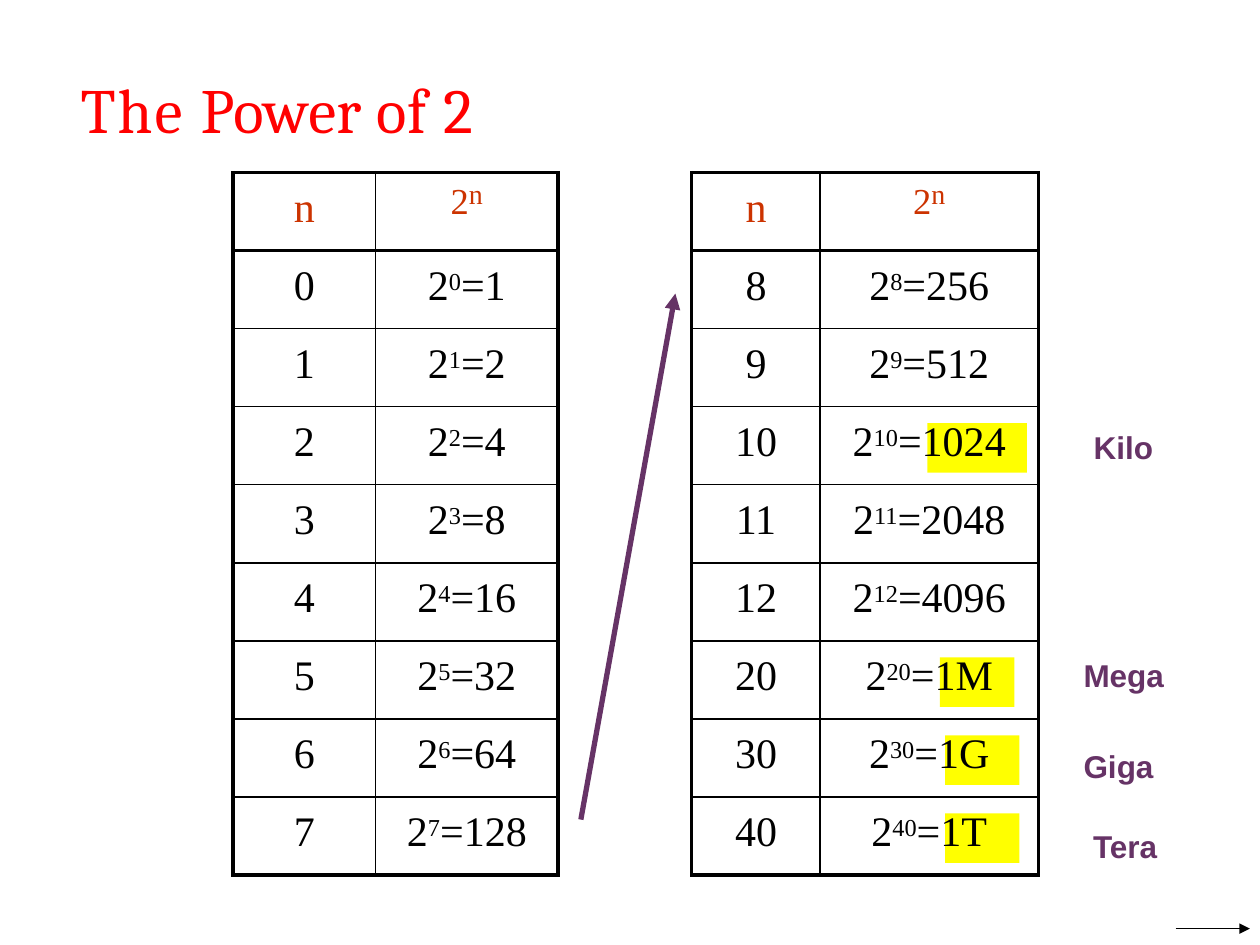
from dataclasses import dataclass

from lxml.etree import SubElement
from pptx import Presentation
from pptx.dml.color import RGBColor as Color
from pptx.enum.shapes import MSO_CONNECTOR as Connector, MSO_SHAPE as Shape
from pptx.enum.text import PP_ALIGN as Align
from pptx.oxml.ns import qn
from pptx.util import Emu, Inches, Pt


@dataclass(frozen=True)
class Theme:
    red: str = "FF0000"
    header: str = "CC3300"
    black: str = "000000"
    purple: str = "663366"
    yellow: str = "FFFF00"
    title_format = {"size": Pt(36), "name": "Cambria"}
    cell_format = {"size": Pt(24), "name": "Times New Roman"}
    label_format = {"size": Pt(18), "name": "Arial", "bold": True}
    header_base = Pt(36)
    header_exponent = Pt(16)
    thin: float = 1
    thick: float = 2.25


THEME = Theme()
WIDTH, HEIGHT = Inches(10), Inches(7.5)

# Vertical grid shared by both tables, in percent of the slide height
TABLE_TOP, ROW_HEIGHT = 18.27, 8.26

LEFT_POWERS = [("0", "1"), ("1", "2"), ("2", "4"), ("3", "8"),
               ("4", "16"), ("5", "32"), ("6", "64"), ("7", "128")]
RIGHT_POWERS = [("8", "256"), ("9", "512"), ("10", "1024"), ("11", "2048"),
                ("12", "4096"), ("20", "1M"), ("30", "1G"), ("40", "1T")]
# Table row, left and width of each highlighted value
HIGHLIGHTS = [(8, 75, 5.9), (7, 75, 5.9), (6, 74.6, 5.9), (3, 73.6, 7.9)]


def across(percent):
    return Emu(round(WIDTH * percent / 100))


def down(percent):
    return Emu(round(HEIGHT * percent / 100))


def area(left, top, width, height):
    return across(left), down(top), across(width), down(height)


def set_values(target, values):
    for name, value in values.items():
        setattr(target, name, value)


def add_run(paragraph, text, values, color, **extra):
    """Add a run; extra holds raw run attributes such as baseline or spc."""
    run = paragraph.add_run()
    run.text = text
    set_values(run.font, values)
    run.font.color.rgb = Color.from_string(color)
    for name, value in extra.items():
        run.font._element.set(name, str(value))


def add_text_frame(slide, box):
    frame = slide.shapes.add_textbox(*box).text_frame
    set_values(frame, {"word_wrap": True, "margin_left": Inches(0.01),
                       "margin_top": Inches(0.01), "margin_right": 0,
                       "margin_bottom": 0})
    return frame


def add_title(slide):
    paragraph = add_text_frame(slide, area(6.3, 7.33, 33.8, 8.4)).paragraphs[0]
    for text, spacing in [("The ", 120), ("Power ", 20), ("of ", 60), ("2", -50)]:
        add_run(paragraph, text, THEME.title_format, THEME.red, spc=spacing)


def add_labels(slide, box, labels):
    """Stack labels given as (text, alignment, space before)."""
    frame = add_text_frame(slide, box)
    for index, (text, alignment, gap) in enumerate(labels):
        paragraph = frame.add_paragraph() if index else frame.paragraphs[0]
        paragraph.alignment = alignment
        if gap:
            paragraph.space_before = Pt(gap)
        add_run(paragraph, text, THEME.label_format, THEME.purple)


def add_highlight(slide, row, left, width):
    top = TABLE_TOP + row * ROW_HEIGHT + 1.73
    shape = slide.shapes.add_shape(Shape.RECTANGLE, *area(left, top, width, 5.25))
    shape.shadow.inherit = False
    shape.fill.solid()
    shape.fill.fore_color.rgb = Color.from_string(THEME.yellow)
    shape.line.fill.background()


def add_arrow(slide, start, end, color, weight):
    arrow = slide.shapes.add_connector(
        Connector.STRAIGHT, across(start[0]), down(start[1]),
        across(end[0]), down(end[1]))
    arrow.line.color.rgb = Color.from_string(color)
    arrow.line.width = Pt(weight)
    SubElement(arrow.line._get_or_add_ln(), qn("a:tailEnd"), type="triangle")
    SubElement(arrow._element.spPr, qn("a:effectLst"))


def set_borders(cell, weights):
    properties = cell._tc.get_or_add_tcPr()
    for side, weight in weights.items():
        line = SubElement(properties, qn(f"a:ln{side}"), w=str(Pt(weight)))
        fill = SubElement(line, qn("a:solidFill"))
        SubElement(fill, qn("a:srgbClr"), val=THEME.black)


def write_power(paragraph, row, exponent, value):
    if row == 0:
        paragraph.line_spacing = Pt(28.7)
        base = {**THEME.cell_format, "size": THEME.header_base}
        small = {**THEME.cell_format, "size": THEME.header_exponent}
        add_run(paragraph, "2", base, THEME.header, baseline=-16000)
        add_run(paragraph, exponent, small, THEME.header)
    else:
        add_run(paragraph, "2", THEME.cell_format, THEME.black)
        add_run(paragraph, exponent, THEME.cell_format, THEME.black, baseline=24000)
        add_run(paragraph, f"={value}", THEME.cell_format, THEME.black)


def add_power_table(slide, left, column_widths, powers):
    rows = [("n", "")] + powers
    last = len(rows) - 1
    box = area(left, TABLE_TOP, sum(column_widths), ROW_HEIGHT * len(rows))
    table = slide.shapes.add_table(len(rows), 2, *box).table
    set_values(table, {"first_row": False, "horz_banding": False})
    for column, width in zip(table.columns, column_widths):
        column.width = across(width)
    for row, (exponent, value) in enumerate(rows):
        table.rows[row].height = down(ROW_HEIGHT)
        for column in range(2):
            cell = table.cell(row, column)
            is_power_header = row == 0 and column == 1
            set_values(cell, {"margin_left": 0, "margin_right": 0,
                              "margin_bottom": 0,
                              "margin_top": Inches(0 if is_power_header else 0.1)})
            # Thick lines frame the table and close the header row
            thick_sides = {"L": column == 0, "R": column == 1,
                           "T": row <= 1, "B": row in (0, last)}
            set_borders(cell, {side: THEME.thick if thick else THEME.thin
                               for side, thick in thick_sides.items()})
            cell.fill.background()
            paragraph = cell.text_frame.paragraphs[0]
            paragraph.alignment = Align.CENTER
            if column:
                write_power(paragraph, row, exponent, value)
            else:
                color = THEME.black if row else THEME.header
                add_run(paragraph, exponent, THEME.cell_format, color)


def main():
    presentation = Presentation()
    set_values(presentation, {"slide_width": WIDTH, "slide_height": HEIGHT})
    slide = presentation.slides.add_slide(presentation.slide_layouts[6])

    # Highlights lie behind the unfilled tables
    for highlight in HIGHLIGHTS:
        add_highlight(slide, *highlight)

    add_title(slide)

    # Powers of two, read down the left table and on to the right one
    for left, widths, powers in [(18.5, (11.3, 14.5), LEFT_POWERS),
                                 (54.9, (10.2, 17.3), RIGHT_POWERS)]:
        add_power_table(slide, left, widths, powers)
    add_arrow(slide, (46.1, 86.73), (53.6, 31.07), THEME.purple, 3)

    # Unit names beside the right table
    add_labels(slide, area(85.9, 69.33, 6.7, 22.27),
               [("Mega", Align.LEFT, 0), ("Giga", Align.LEFT, 30),
                ("Tera", Align.CENTER, 24.5)])
    add_labels(slide, area(86.7, 45.2, 5, 4.4), [("Kilo", Align.LEFT, 0)])

    # Arrow in the bottom corner
    add_arrow(slide, (93.3, 98.27), (99.2, 98.27), THEME.black, 1)

    presentation.save("out.pptx")


if __name__ == "__main__":
    main()
